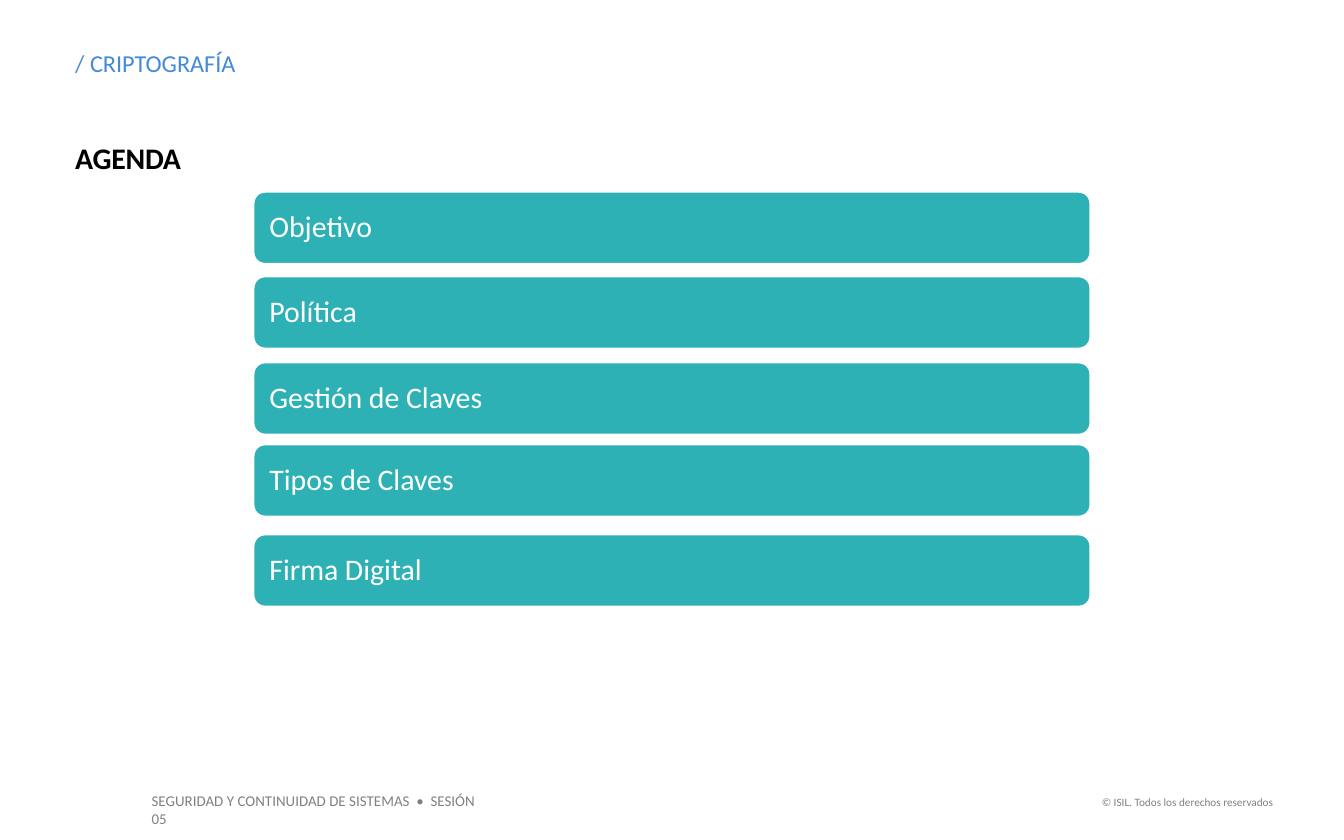
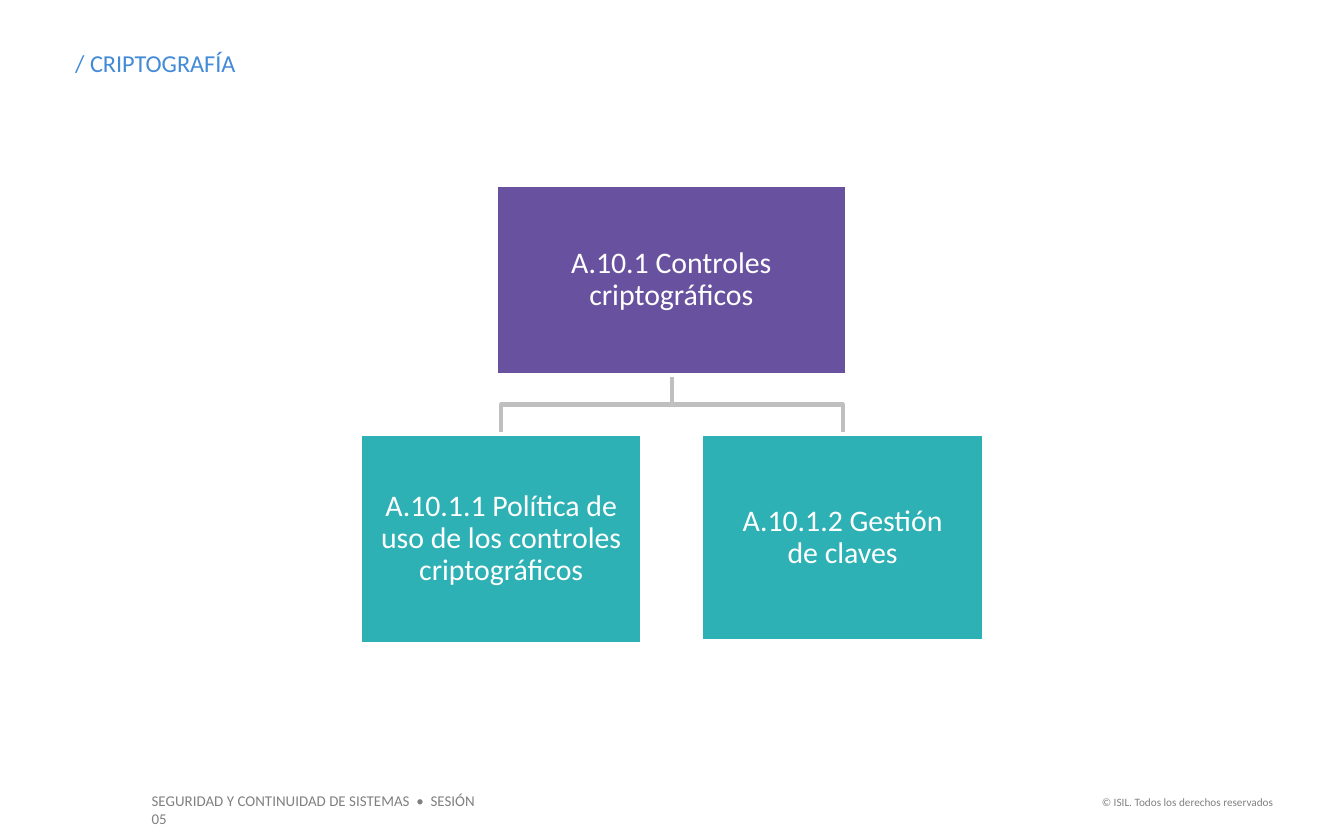
"""Builds two slides on cryptography: the agenda and the tree of controls."""
from pptx import Presentation
from pptx.dml.color import RGBColor
from pptx.enum.shapes import MSO_SHAPE
from pptx.enum.text import MSO_ANCHOR, PP_ALIGN
from pptx.util import Inches, Pt

BAR, RECT = MSO_SHAPE.ROUNDED_RECTANGLE, MSO_SHAPE.RECTANGLE
TOP, MID = MSO_ANCHOR.TOP, MSO_ANCHOR.MIDDLE
LEFT, MIDDLE, RIGHT = PP_ALIGN.LEFT, PP_ALIGN.CENTER, PP_ALIGN.RIGHT
HUES = {
    "title": "438AD7", "black": "000000", "foot": "808080", "white": "FFFFFF",
    "teal": "2EB1B5", "plum": "68529F", "line": "BFBFBF",
}
FONT = "Calibri"


def write(shape, text, size, hue, align=LEFT, anchor=TOP, pad=(0, 0), bold=False):
    frame = shape.text_frame
    frame.word_wrap = True
    frame.vertical_anchor = anchor
    frame.margin_left = frame.margin_right = Inches(pad[0])
    frame.margin_top = frame.margin_bottom = Inches(pad[1])
    para = frame.paragraphs[0]
    para.text = text
    para.alignment = align
    para.font.name = FONT
    para.font.size = Pt(size)
    para.font.bold = bold
    para.font.color.rgb = RGBColor.from_string(HUES[hue])
    return para


def block(slide, kind, place, hue, text, align, pad):
    shape = slide.shapes.add_shape(kind, *map(Inches, place))
    shape.shadow.inherit = False
    shape.fill.solid()
    shape.fill.fore_color.rgb = RGBColor.from_string(HUES[hue])
    shape.line.color.rgb = RGBColor.from_string(HUES["white"])
    shape.line.width = Pt(2)
    write(shape, text, 16, "white", align, MID, pad).line_spacing = 0.9
    return shape


deck = Presentation()
deck.slide_width, deck.slide_height = Inches(10), Inches(6.25)

feet = [
    ((1.03, 5.84, 2.74, 0.24), "SEGURIDAD Y CONTINUIDAD DE SISTEMAS  •  SESIÓN 05", 8, LEFT),
    ((8.07, 5.87, 1.5, 0.2), "© ISIL. Todos los derechos reservados", 6, RIGHT),
]
for _ in range(2):
    slide = deck.slides.add_slide(deck.slide_layouts[5])
    title = slide.shapes.title
    title.left, title.top, title.width, title.height = map(Inches, (0.56, 0.36, 6.6, 0.22))
    write(title, "/ CRIPTOGRAFÍA", 13, "title")
    for place, text, size, align in feet:
        foot = slide.shapes.add_textbox(*map(Inches, place))
        write(foot, text, size, "foot", align, pad=(0.1, 0.05))

agenda, tree = deck.slides

head = agenda.shapes.add_textbox(*map(Inches, (0.56, 1.04, 8.93, 0.27)))
para = write(head, "AGENDA", 16, "black", bold=True)
para.runs[0]._r.get_or_add_rPr().set("spc", "-10")

topics = [
    (1.42, "Objetivo"), (2.05, "Política"), (2.69, "Gestión de Claves"),
    (3.3, "Tipos de Claves"), (3.97, "Firma Digital"),
]
for top, text in topics:
    block(agenda, BAR, (1.88, top, 6.24, 0.55), "teal", text, LEFT, (0.1, 0.07))

for end in (6.27, 3.73):
    path = [(5, 2.79), (5, 3.01), (end, 3.01), (end, 3.23)]
    points = [(Inches(x), Inches(y)) for x, y in path]
    pen = tree.shapes.build_freeform(*points[0], scale=1.0)
    pen.add_line_segments(points[1:], close=False)
    branch = pen.convert_to_shape()
    branch.shadow.inherit = False
    branch.fill.background()
    branch.line.color.rgb = RGBColor.from_string(HUES["line"])
    branch.line.width = Pt(2.25)

nodes = [
    ((3.69, 1.38, 2.61, 1.41), "plum", "A.10.1 Controles criptográficos"),
    ((2.68, 3.23, 2.1, 1.56), "teal", "A.10.1.1 Política de uso de los controles criptográficos"),
    ((5.22, 3.23, 2.1, 1.54), "teal", "A.10.1.2 Gestión\nde claves"),
]
for place, hue, text in nodes:
    block(tree, RECT, place, hue, text, MIDDLE, (0.01, 0.01))

deck.save("out.pptx")
